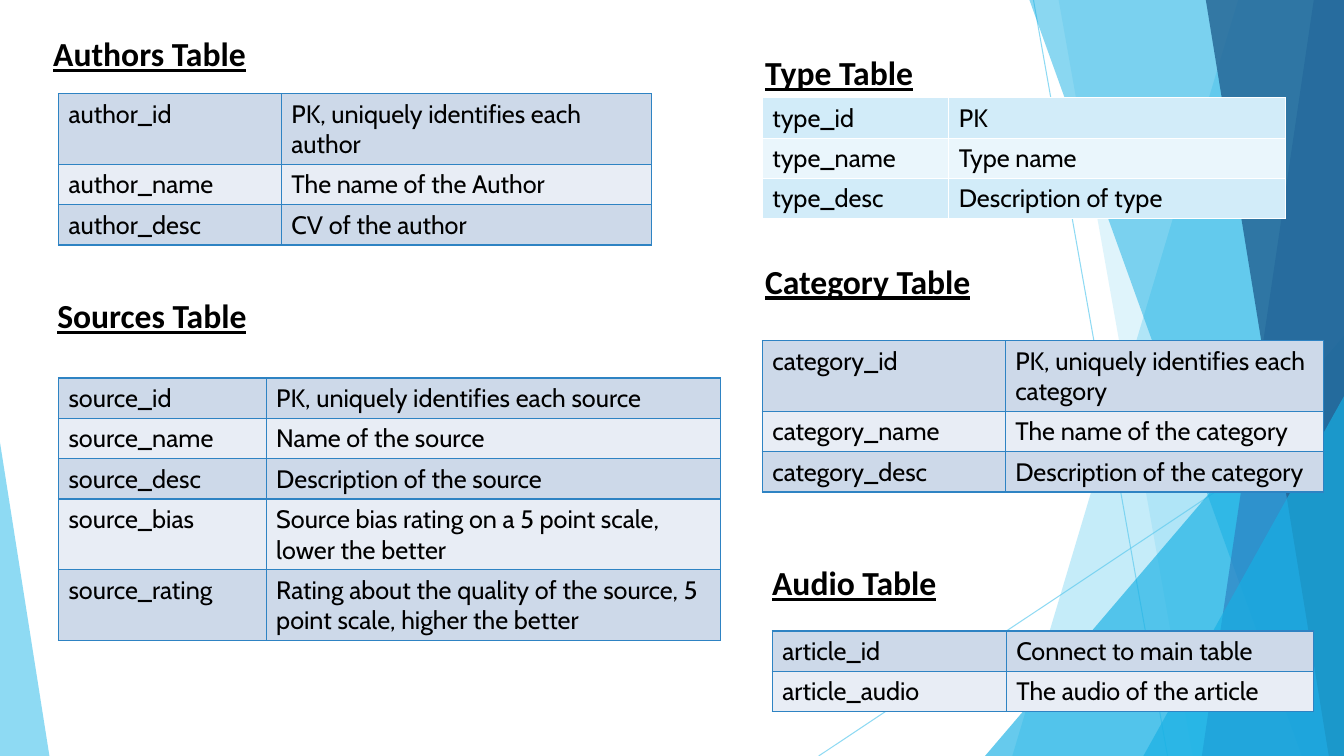
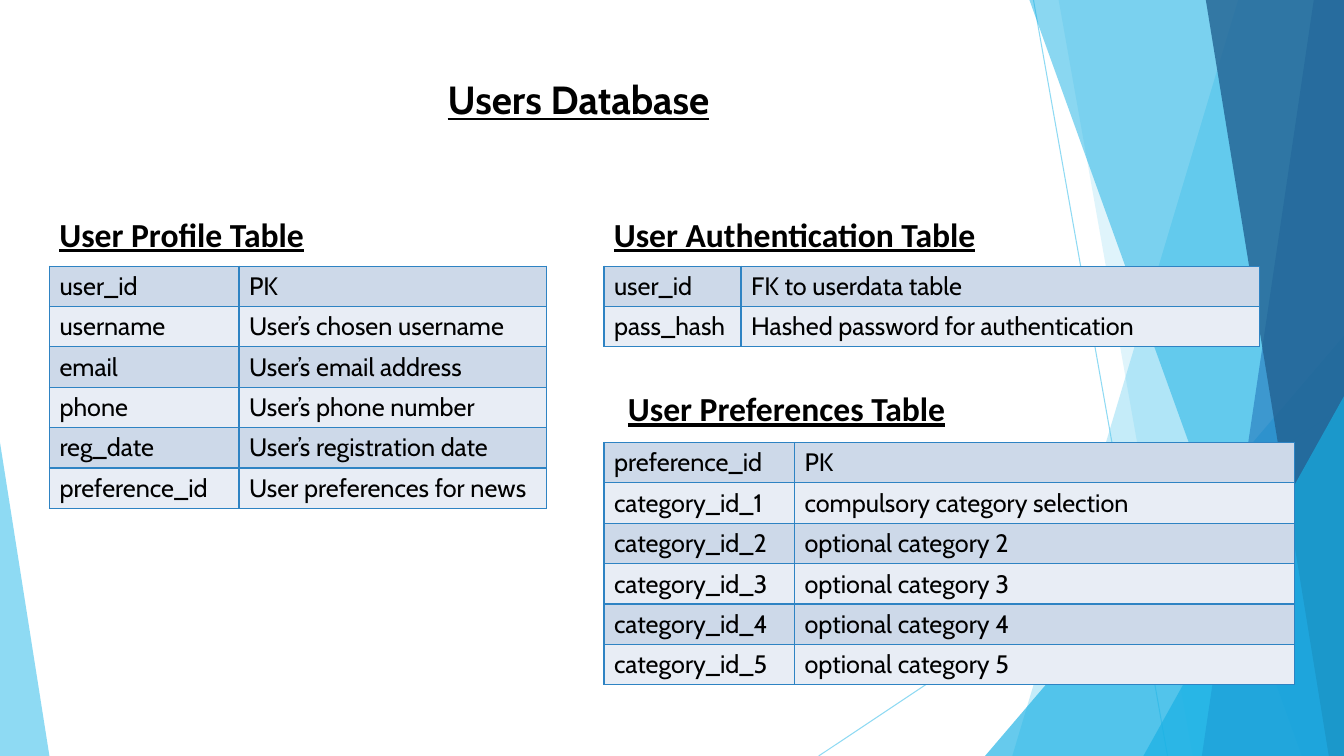
from lxml import etree
from pptx import Presentation
from pptx.dml.color import RGBColor
from pptx.enum.shapes import MSO_CONNECTOR, MSO_SHAPE
from pptx.enum.text import MSO_ANCHOR, MSO_AUTO_SIZE, PP_ALIGN
from pptx.oxml.ns import qn
from pptx.util import Inches, Pt

STRAIGHT = MSO_CONNECTOR.STRAIGHT
TRIANGLE = MSO_SHAPE.ISOSCELES_TRIANGLE
TOP = MSO_ANCHOR.TOP
FIT_SHAPE = MSO_AUTO_SIZE.SHAPE_TO_FIT_TEXT
LEFT = PP_ALIGN.LEFT

# Shared look
WIDTH, HEIGHT = 13.33, 7.5
ROW_HEIGHT = 0.4
HEADING_HEIGHT = 0.5
BLACK, SKY, CYAN, BLUE, NAVY = "000000", "5FCBEF", "17B0E4", "2E83C3", "226292"
BLUE_TABLE = {"border": BLUE, "bands": ("CDD9E9", "E8EDF5")}
PALE_TABLE = {"border": "FFFFFF", "bands": ("D2ECF9", "EAF6FC")}

# Backdrop: lines, then panels (top x, bottom x) and triangles (box, apex)
BACKDROP_LINES = [(10.25, 0, 11.58, HEIGHT), (WIDTH, 4.03, 8.12, HEIGHT)]
BACKDROP_FACETS = [
    ("panel", (12.28, 10.04), SKY, 36),
    ("panel", (10.5, 11.83), SKY, 20),
    ("triangle", (9.77, 3.33, 3.56, 4.17, 1), CYAN, 66),
    ("panel", (10.21, 12.91), CYAN, 50),
    ("panel", (13.03, 11.92), BLUE, 70),
    ("panel", (11.96, 13.18), NAVY, 80),
    ("triangle", (11.34, 3.93, 1.99, 3.57, 1), CYAN, 66),
    ("triangle", (0, 4.39, 0.49, 3.11, 0), SKY, 70),
]

# Content: heading, heading box (left, top, width), table corner, columns, style, rows
SLIDES = [
    {"title": None, "tables": [
        ("Authors Table", (0.43, 0.28, 2.13), (0.58, 0.93), (2.21, 3.67), BLUE_TABLE, [
            ("author_id", "PK, uniquely identifies each author"),
            ("author_name", "The name of the Author"),
            ("author_desc", "CV of the author"),
        ]),
        ("Sources Table", (0.47, 2.88, 2.1), (0.58, 3.75), (2.06, 4.51), BLUE_TABLE, [
            ("source_id", "PK, uniquely identifies each source"),
            ("source_name", "Name of the source"),
            ("source_desc", "Description of the source"),
            ("source_bias", "Source bias rating on a 5 point scale, lower the better"),
            ("source_rating",
             "Rating about the quality of the source, 5 point scale, higher the better"),
        ]),
        ("Type Table", (7.49, 0.47, 1.68), (7.56, 0.97), (1.85, 3.34), PALE_TABLE, [
            ("type_id", "PK"),
            ("type_name", "Type name"),
            ("type_desc", "Description of type"),
        ]),
        ("Category Table", (7.49, 2.54, 2.26), (7.56, 3.38), (2.41, 3.16), BLUE_TABLE, [
            ("category_id", "PK, uniquely identifies each category"),
            ("category_name", "The name of the category"),
            ("category_desc", "Description of the category"),
        ]),
        ("Audio Table", (7.56, 5.53, 1.85), (7.66, 6.26), (2.32, 3.05), BLUE_TABLE, [
            ("article_id", "Connect to main table"),
            ("article_audio", "The audio of the article"),
        ]),
    ]},
    {"title": "Users Database", "tables": [
        ("User Profile Table", (0.49, 2.07, 2.65), (0.49, 2.64), (1.88, 3.05), BLUE_TABLE, [
            ("user_id", "PK"),
            ("username", "User’s chosen username"),
            ("email", "User’s email address"),
            ("phone", "User’s phone number"),
            ("reg_date", "User’s registration date"),
            ("preference_id", "User preferences for news"),
        ]),
        ("User Authentication Table", (5.99, 2.07, 3.83), (5.99, 2.64), (1.36, 5.14),
         BLUE_TABLE, [
            ("user_id", "FK to userdata table"),
            ("pass_hash", "Hashed password for authentication"),
        ]),
        ("User Preferences Table", (6.13, 3.8, 3.38), (5.99, 4.39), (1.89, 4.96), BLUE_TABLE, [
            ("preference_id", "PK"),
            ("category_id_1", "compulsory category selection"),
            ("category_id_2", "optional category 2"),
            ("category_id_3", "optional category 3"),
            ("category_id_4", "optional category 4"),
            ("category_id_5", "optional category 5"),
        ]),
    ]},
]


def color(code):
    return RGBColor.from_string(code)


def inches(*lengths):
    return [Inches(length) for length in lengths]


def set_opacity(shape, percent):
    tone = next(shape.element.spPr.iter(qn("a:srgbClr")))
    etree.SubElement(tone, qn("a:alpha"), val=str(percent * 1000))


def style_text(paragraph, size, font_name, strong=False):
    font = paragraph.font
    font.name, font.size = font_name, Pt(size)
    font.color.rgb = color(BLACK)
    font.bold = font.underline = strong


# Backdrop, drawn once and moved to the slide master
def add_backdrop(deck, slide):
    group = slide.shapes.add_group_shape()
    for ends in BACKDROP_LINES:
        line = group.shapes.add_connector(STRAIGHT, *inches(*ends))
        line.line.color.rgb = color(SKY)
        line.line.width = Pt(0.75)
        set_opacity(line, 70)
        etree.SubElement(line.element.spPr, qn("a:effectLst"))
    for kind, geometry, tone, opacity in BACKDROP_FACETS:
        if kind == "panel":
            top_x, bottom_x = geometry
            outline = group.shapes.build_freeform(*inches(top_x, 0))
            corners = [(WIDTH, 0), (WIDTH, HEIGHT), (bottom_x, HEIGHT)]
            outline.add_line_segments([inches(*corner) for corner in corners])
            facet = outline.convert_to_shape()
        else:
            *area, apex = geometry
            facet = group.shapes.add_shape(TRIANGLE, *inches(*area))
            facet.adjustments[0] = apex
        facet.shadow.inherit = False
        facet.fill.solid()
        facet.fill.fore_color.rgb = color(tone)
        facet.line.fill.background()
        set_opacity(facet, opacity)
    for number, properties in enumerate(group.element.iter(qn("p:cNvPr")), 100):
        properties.set("id", str(number))
    deck.slide_master.shapes.element.insert(2, group.element)


def add_title(slide, text):
    title = slide.shapes.title
    title.left, title.top, title.width, title.height = inches(4.34, 0.7, 3.03, 0.57)
    frame = title.text_frame
    frame.text = text
    frame.vertical_anchor, frame.auto_size = TOP, FIT_SHAPE
    frame.paragraphs[0].alignment = LEFT
    style_text(frame.paragraphs[0], 28, "Cabin", strong=True)


def add_heading(slide, text, place):
    box = slide.shapes.add_textbox(*inches(*place, HEADING_HEIGHT))
    frame = box.text_frame
    frame.text = text
    frame.word_wrap, frame.auto_size = False, FIT_SHAPE
    style_text(frame.paragraphs[0], 24, "Calibri", strong=True)


def add_borders(cell, tone):
    properties = cell._tc.get_or_add_tcPr()
    for side in ("lnL", "lnR", "lnT", "lnB"):
        border = etree.SubElement(properties, qn("a:" + side), w=str(Pt(1)))
        fill = etree.SubElement(border, qn("a:solidFill"))
        etree.SubElement(fill, qn("a:srgbClr"), val=tone)


def add_field_table(slide, corner, columns, look, rows):
    size = (sum(columns), ROW_HEIGHT * len(rows))
    table = slide.shapes.add_table(len(rows), len(columns), *inches(*corner, *size)).table
    table.first_row = table.horz_banding = False
    for column, width in zip(table.columns, columns):
        column.width = Inches(width)
    for row_index, row in enumerate(rows):
        for column_index, text in enumerate(row):
            cell = table.cell(row_index, column_index)
            cell.text = text
            style_text(cell.text_frame.paragraphs[0], 18, "Cabin")
            add_borders(cell, look["border"])
            cell.fill.solid()
            cell.fill.fore_color.rgb = color(look["bands"][row_index % 2])


def main():
    deck = Presentation()
    deck.slide_width, deck.slide_height = inches(WIDTH, HEIGHT)
    title_only, blank = deck.slide_layouts[5], deck.slide_layouts[6]
    for index, content in enumerate(SLIDES):
        slide = deck.slides.add_slide(title_only if content["title"] else blank)
        if index == 0:
            add_backdrop(deck, slide)
        if content["title"]:
            add_title(slide, content["title"])
        for heading, place, corner, columns, look, rows in content["tables"]:
            add_heading(slide, heading, place)
            add_field_table(slide, corner, columns, look, rows)
    deck.save("out.pptx")


if __name__ == "__main__":
    main()
